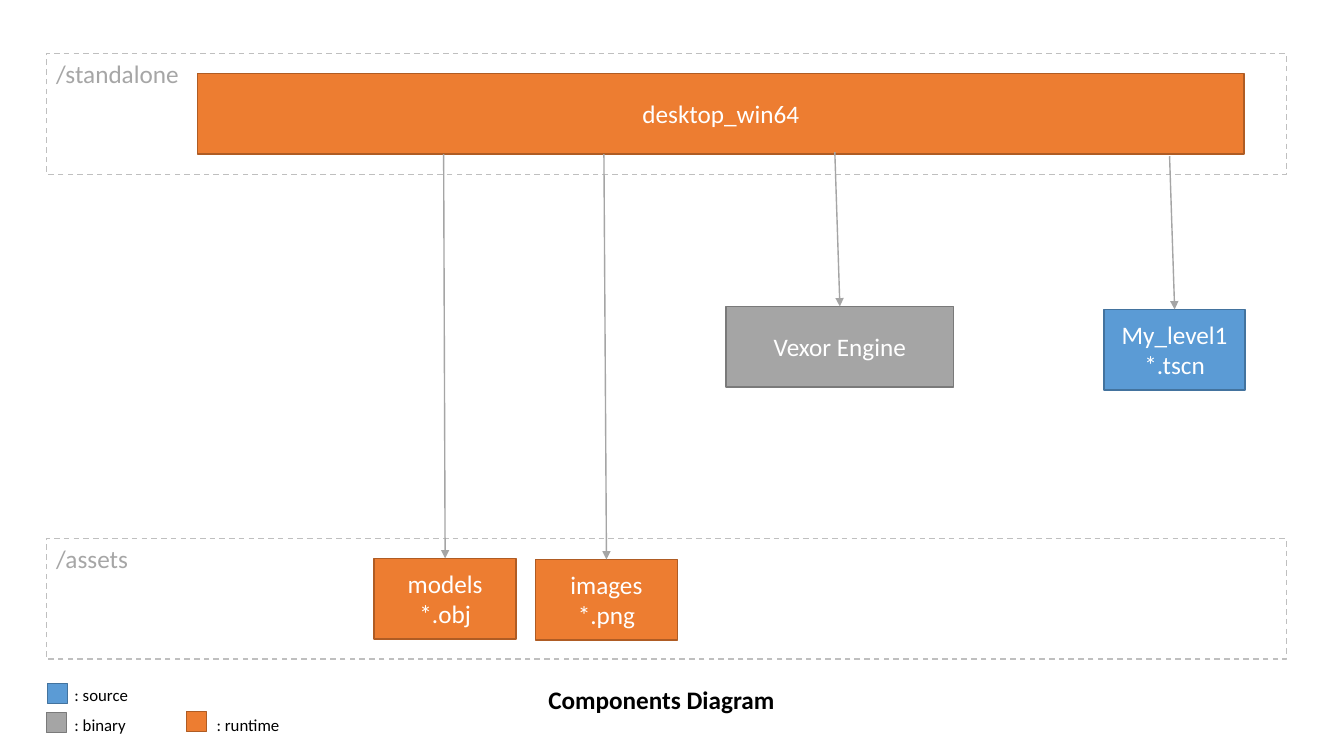
from pptx import Presentation
from pptx.dml.color import RGBColor as RGB
from pptx.enum.dml import MSO_LINE as Dash
from pptx.enum.shapes import MSO_CONNECTOR as Conn, MSO_SHAPE as Shape
from pptx.enum.text import MSO_ANCHOR as Anchor, MSO_AUTO_SIZE as Fit, PP_ALIGN as Align
from pptx.oxml.ns import qn
from pptx.util import Pt
from lxml.etree import SubElement as Sub

PX = 9144  # 100 px to the inch
THEME = {
    "font": "Calibri", "body": 18, "small": 12, "rule": 1,
    "white": "FFFFFF", "black": "000000", "label": "A6A6A6",
    "zone": (None, "BFBFBF"), "arrow": "A5A5A5",
    "source": ("5B9BD5", "43739E"),
    "binary": ("A5A5A5", "7A7A7A"),
    "runtime": ("ED7D31", "AF5C24"),
}

deck = Presentation()
deck.slide_width, deck.slide_height = 1333 * PX, 750 * PX
slide = deck.slides.add_slide(deck.slide_layouts[6])
items = slide.shapes


def write(shape, text, size="body", color="white", bold=False,
          align=Align.CENTER, anchor=Anchor.MIDDLE, fit=Fit.NONE, lead=None):
    frame = shape.text_frame
    frame.word_wrap, frame.auto_size = True, fit
    frame.vertical_anchor = anchor
    lines = [text] if isinstance(text, str) else text
    for i, line in enumerate(lines):
        para = frame.add_paragraph() if i else frame.paragraphs[0]
        para.text, para.alignment = line, align
        if lead:
            para.line_spacing = lead
        for run in para.runs:
            font = run.font
            font.name, font.size, font.bold = THEME["font"], Pt(THEME[size]), bold
            font.color.rgb = RGB.from_string(THEME[color])


def draw(kind, *area):
    fill, edge = THEME[kind]
    rect = items.add_shape(Shape.RECTANGLE, *[n * PX for n in area])
    rect.shadow.inherit = False
    if fill:
        rect.fill.solid()
        rect.fill.fore_color.rgb = RGB.from_string(fill)
    else:
        rect.fill.background()
        rect.line.dash_style = Dash.DASH
    rect.line.color.rgb = RGB.from_string(edge)
    rect.line.width = Pt(THEME["rule"])
    return rect


# Folder zones
for name, top in (("/standalone", 53), ("/assets", 534)):
    write(draw("zone", 46, top, 1230, 120), name, color="label",
          align=Align.LEFT, anchor=Anchor.TOP)

# Main program
write(draw("runtime", 196, 73, 1038, 80), "desktop_win64")

# Parts, each with an arrow from the main program
parts = (
    ("models\n*.obj", "runtime", 371, 554, 141, (440, 153)),
    ("images\n*.png", "runtime", 531, 555, 141, (599, 153)),
    ("Vexor Engine", "binary", 720, 304, 226, (828, 151)),
    ("My_level1\n*.tscn", "source", 1095, 307, 140, (1160, 155)),
)
for name, kind, left, top, width, (x, y) in parts:
    part = draw(kind, left, top, width, 80)
    write(part, name)
    arrow = items.add_connector(Conn.STRAIGHT, x * PX, y * PX,
                                (left + width // 2) * PX, top * PX)
    arrow.end_connect(part, 0)
    arrow.line.color.rgb = RGB.from_string(THEME["arrow"])
    arrow.line.width = Pt(THEME["rule"])
    Sub(arrow.line._get_or_add_ln(), qn("a:tailEnd"), type="triangle")
    Sub(arrow._element.spPr, qn("a:effectLst"))

# Title
title = items.add_textbox(367 * PX, 674 * PX, 578 * PX, 40 * PX)
write(title, "Components Diagram", color="black", bold=True,
      anchor=Anchor.TOP, fit=Fit.SHAPE_TO_FIT_TEXT)

# Legend
for kind, left, top in (("source", 47, 678), ("binary", 46, 707), ("runtime", 185, 706)):
    draw(kind, left, top, 20, 20)
legend = items.add_textbox(64 * PX, 664 * PX, 471 * PX, 71 * PX)
write(legend, (": source", ": binary\t: runtime"), size="small", color="black",
      align=Align.LEFT, anchor=Anchor.TOP, fit=Fit.SHAPE_TO_FIT_TEXT, lead=1.5)
tabs = Sub(legend.text_frame.paragraphs[1]._p.get_or_add_pPr(), qn("a:tabLst"))
Sub(tabs, qn("a:tab"), pos=str(141 * PX), algn="l")

deck.save("out.pptx")
